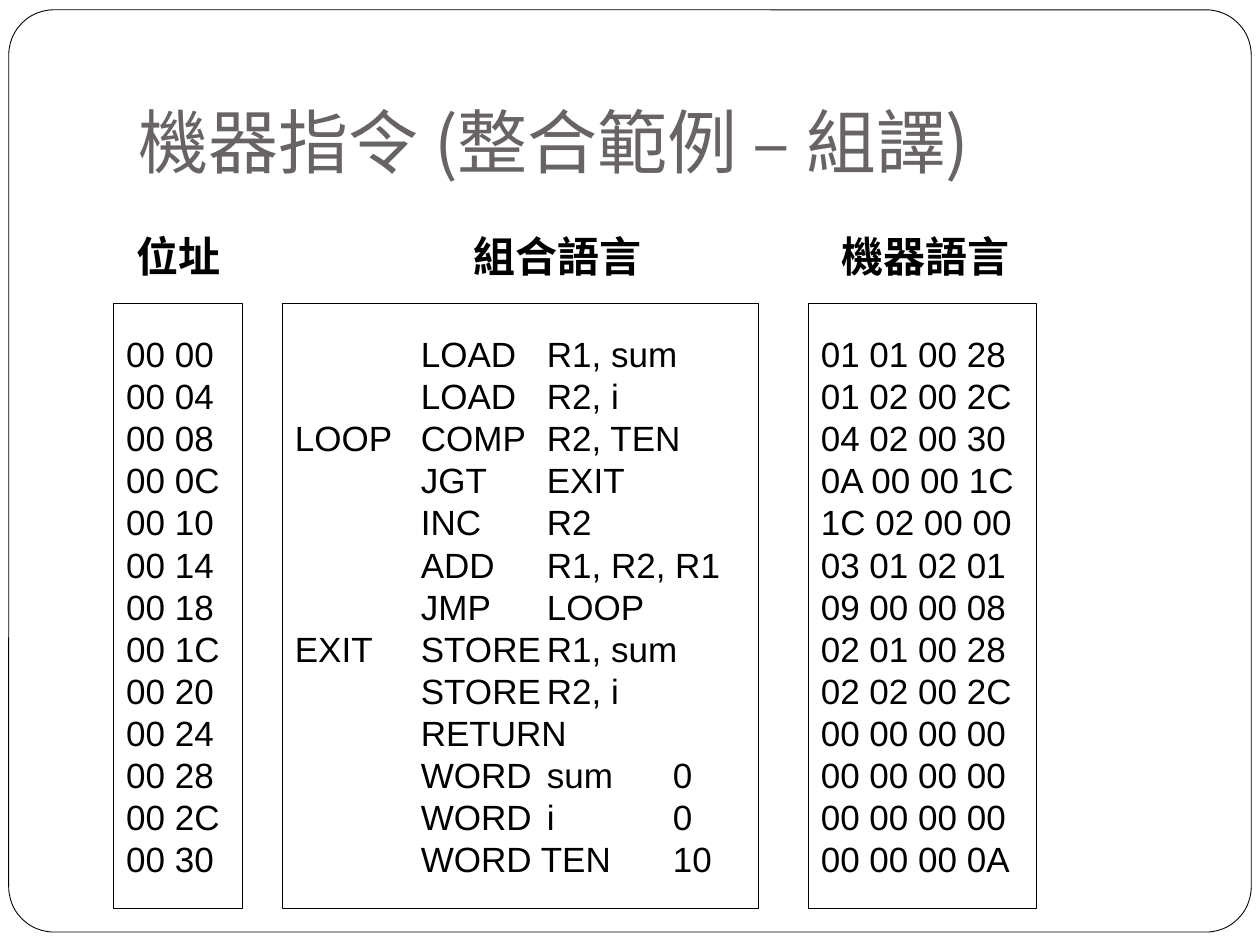
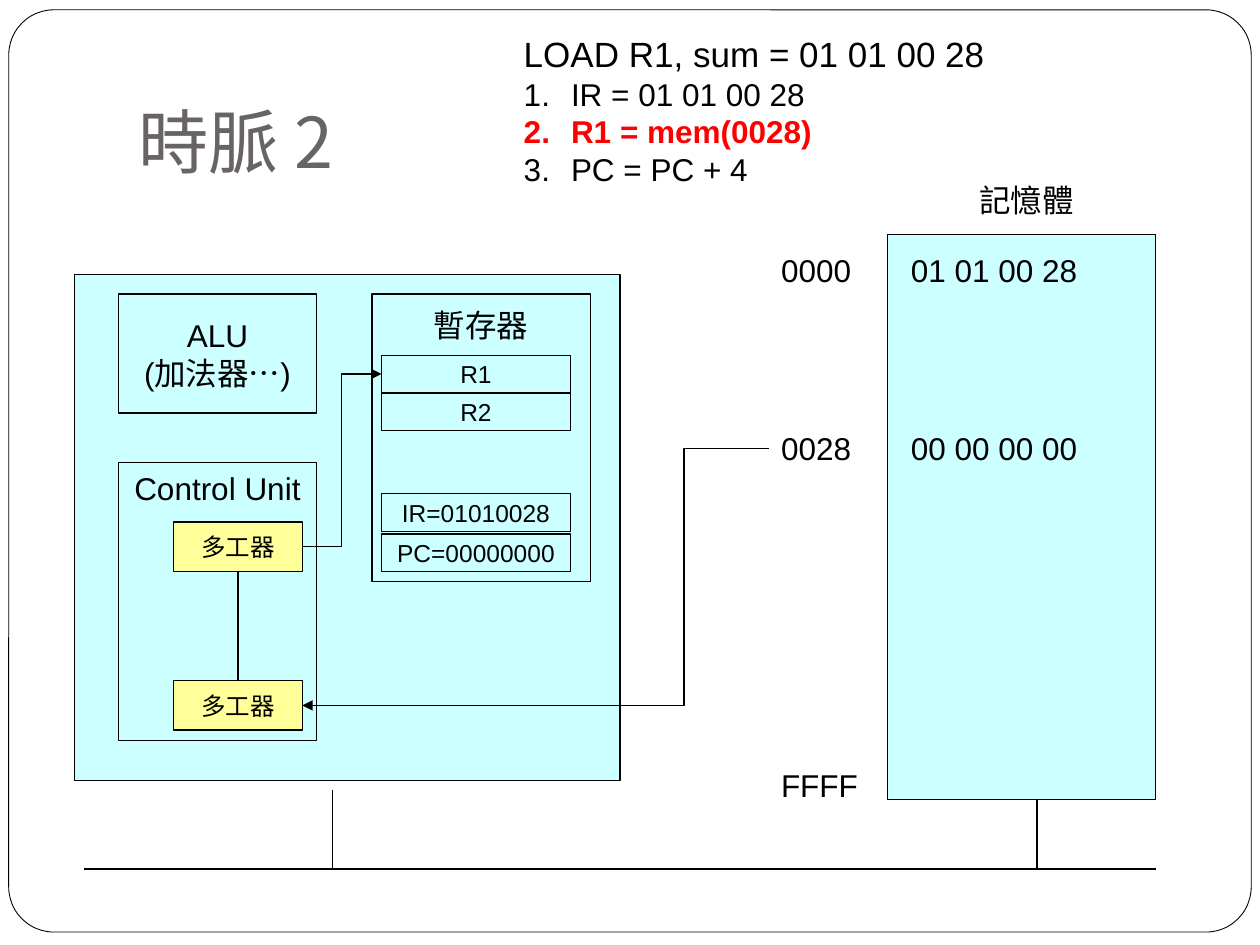
from dataclasses import dataclass
from typing import Any, Optional

from lxml import etree
from pptx import Presentation
from pptx.dml.color import RGBColor
from pptx.enum import shapes, text
from pptx.oxml import ns
from pptx.util import Pt

COLOURS = {"ink": "000000", "title": "696464", "paper": "FFFFFF",
           "unit": "CCFFFF", "mux": "FFFF99", "active": "FF0000"}
BODY_FONT, ASIAN_FONT = "Arial", "Noto Sans CJK SC"
TAB_STEP, TAB_COUNT = 72, 7
LEFT, CENTER = text.PP_ALIGN.LEFT, text.PP_ALIGN.CENTER
TOP, MIDDLE, BOTTOM = (text.MSO_ANCHOR.TOP, text.MSO_ANCHOR.MIDDLE,
                       text.MSO_ANCHOR.BOTTOM)
RIGHT_SIDE, LEFT_SIDE, TOP_SIDE, BOTTOM_SIDE = 3, 1, 0, 2


@dataclass
class Block:
    """A bordered rectangle with lines of text."""
    left: float
    top: float
    width: float
    height: float
    lines: tuple = ()
    fill: str = "unit"
    size: float = 18
    align: Any = CENTER
    anchor: Any = MIDDLE
    inset_top: float = 3.6


@dataclass
class Label:
    """A short text without a border."""
    left: float
    top: float
    width: float
    words: str
    height: float = 28.8
    size: float = 18
    bold: bool = False


@dataclass
class CodeColumn:
    left: float
    width: float
    heading: str
    heading_left: float
    heading_width: float
    lines: tuple


# ---------- shared drawing ----------
def colour(name: str) -> RGBColor:
    return RGBColor.from_string(COLOURS[name])


def apply(target: Any, values: dict) -> None:
    for name, value in values.items():
        setattr(target, name, value)


def add_xml(parent: Any, tag: str, **values: Any) -> Any:
    child = etree.SubElement(parent, ns.qn(tag))
    for name, value in values.items():
        child.set(name, str(value))
    return child


def add_tab_stops(para: Any) -> None:
    stops = add_xml(para._p.get_or_add_pPr(), "a:tabLst")
    for index in range(1, TAB_COUNT + 1):
        add_xml(stops, "a:tab", pos=Pt(TAB_STEP * index), algn="l")


def write_para(para: Any, words: str, size: float, ink: str = "ink",
               bold: bool = False, align: Any = LEFT,
               font: str = BODY_FONT) -> None:
    para.alignment = align
    if "\t" in words:
        add_tab_stops(para)
    span = para.add_run()
    span.text = words
    apply(span.font, {"name": font, "size": Pt(size), "bold": bold})
    span.font.color.rgb = colour(ink)
    add_xml(span.font._element, "a:ea", typeface=ASIAN_FONT)


def next_para(frame: Any, index: int) -> Any:
    return frame.paragraphs[0] if index == 0 else frame.add_paragraph()


def set_frame(frame: Any, anchor: Any = TOP, wrap: bool = False,
              top: float = 3.6, bottom: float = 3.6,
              fit: Any = text.MSO_AUTO_SIZE.NONE) -> None:
    apply(frame, {"margin_left": Pt(7.2), "margin_right": Pt(7.2),
                  "margin_top": Pt(top), "margin_bottom": Pt(bottom),
                  "vertical_anchor": anchor, "word_wrap": wrap,
                  "auto_size": fit})


def draw_block(page: Any, block: Block) -> Any:
    box = page.shapes.add_shape(
        shapes.MSO_SHAPE.RECTANGLE, Pt(block.left), Pt(block.top),
        Pt(block.width), Pt(block.height))
    box.shadow.inherit = False
    box.fill.solid()
    box.fill.fore_color.rgb = colour(block.fill)
    box.line.color.rgb = colour("ink")
    box.line.width = Pt(0.75)
    set_frame(box.text_frame, block.anchor, top=block.inset_top)
    for index, words in enumerate(block.lines):
        write_para(next_para(box.text_frame, index), words, block.size,
                   align=block.align)
    return box


def draw_label(page: Any, label: Label) -> Any:
    box = page.shapes.add_textbox(Pt(label.left), Pt(label.top),
                                  Pt(label.width), Pt(label.height))
    set_frame(box.text_frame, fit=text.MSO_AUTO_SIZE.SHAPE_TO_FIT_TEXT)
    write_para(box.text_frame.paragraphs[0], label.words, label.size,
               bold=label.bold)
    return box


def style_connector(line: Any, arrow: bool = False,
                    bend: Optional[int] = None) -> None:
    line.line.color.rgb = colour("ink")
    line.line.width = Pt(0.75)
    properties = line._element.spPr
    if arrow:
        add_xml(line.line._get_or_add_ln(), "a:tailEnd", type="triangle")
    if bend is not None:
        guides = properties.find(ns.qn("a:prstGeom")).find(ns.qn("a:avLst"))
        add_xml(guides, "a:gd", name="adj1", fmla=f"val {bend}")
    add_xml(properties, "a:effectLst")


def draw_line(page: Any, x1: float, y1: float, x2: float, y2: float) -> None:
    style_connector(page.shapes.add_connector(
        shapes.MSO_CONNECTOR.STRAIGHT, Pt(x1), Pt(y1), Pt(x2), Pt(y2)))


def join(page: Any, start: Any, start_side: int, end: Any, end_side: int,
         bend: Optional[int] = None) -> None:
    """Join two boxes; a bend in 1/1000 percent makes an elbow arrow."""
    kinds = shapes.MSO_CONNECTOR
    kind = kinds.STRAIGHT if bend is None else kinds.ELBOW
    line = page.shapes.add_connector(kind, 0, 0, 0, 0)
    line.begin_connect(start, start_side)
    line.end_connect(end, end_side)
    style_connector(line, arrow=bend is not None, bend=bend)


def add_page(deck: Any, title: str) -> Any:
    page = deck.slides.add_slide(deck.slide_layouts[5])
    box = page.shapes.title
    apply(box, {"left": Pt(72), "top": Pt(21.6),
                "width": Pt(612), "height": Pt(90)})
    set_frame(box.text_frame, BOTTOM, wrap=True, bottom=7.2)
    write_para(box.text_frame.paragraphs[0], title, 40, "title",
               font=ASIAN_FONT)
    return page


def put_border_on_layout(page: Any) -> None:
    border = page.shapes.add_shape(
        shapes.MSO_SHAPE.ROUNDED_RECTANGLE, Pt(5), Pt(5.6), Pt(710), Pt(527))
    border.adjustments[0] = 0.049
    border.shadow.inherit = False
    border.fill.background()
    border.line.color.rgb = colour("ink")
    border.line.width = Pt(0.5)
    page.slide_layout.shapes.element.insert(2, border.element)


# ---------- assembly listing ----------
CODE = ("\tLOAD\tR1, sum", "\tLOAD\tR2, i", "LOOP\tCOMP\tR2, TEN",
        "\tJGT\tEXIT", "\tINC\tR2", "\tADD\tR1, R2, R1", "\tJMP\tLOOP",
        "EXIT\tSTORE\tR1, sum", "\tSTORE\tR2, i", "\tRETURN",
        "\tWORD\tsum\t0", "\tWORD\ti\t0", "\tWORD TEN\t10")
MACHINE = ("01 01 00 28", "01 02 00 2C", "04 02 00 30", "0A 00 00 1C",
           "1C 02 00 00", "03 01 02 01", "09 00 00 08", "02 01 00 28",
           "02 02 00 2C", "00 00 00 00", "00 00 00 00", "00 00 00 00",
           "00 00 00 0A")
ADDRESSES = tuple(f"00 {4 * index:02X}" for index in range(len(CODE)))
COLUMNS = (
    CodeColumn(65, 73.5, "位址", 71.2, 66, ADDRESSES),
    CodeColumn(161.4, 272, "組合語言", 263.5, 114, CODE),
    CodeColumn(462, 130.4, "機器語言", 473.8, 114, MACHINE),
)


def build_listing(deck: Any) -> None:
    page = add_page(deck, "機器指令 (整合範例 – 組譯)")
    put_border_on_layout(page)
    for column in COLUMNS:
        draw_block(page, Block(column.left, 173.5, column.width, 345.6,
                               column.lines, "paper", 20, LEFT))
        draw_label(page, Label(column.heading_left, 128.2,
                               column.heading_width, column.heading,
                               36, 24, True))


# ---------- clock cycle 2 ----------
STEPS = ("IR = 01 01 00 28", "R1 = mem(0028)", "PC = PC + 4")
ACTIVE_STEP = 1
REGISTERS = {"R1": 203, "R2": 224.6, "IR=01010028": 282.2,
             "PC=00000000": 305.2}
MEMORY_ROWS = (("0000", "01 01 00 28", 139.7),
               ("0028", "00 00 00 00", 241.9), ("FFFF", "", 434.2))


def draw_steps(page: Any) -> None:
    box = page.shapes.add_textbox(Pt(292.2), Pt(15.1), Pt(289.4), Pt(118))
    frame = box.text_frame
    set_frame(frame, wrap=True)
    write_para(frame.paragraphs[0], "LOAD R1, sum = 01 01 00 28", 20)
    for index, words in enumerate(STEPS):
        active = index == ACTIVE_STEP
        ink = "active" if active else "ink"
        para = frame.add_paragraph()
        write_para(para, words, 18, ink, active)
        properties = para._p.get_or_add_pPr()
        properties.set("marL", str(Pt(27)))
        properties.set("indent", str(-Pt(27)))
        add_xml(add_xml(properties, "a:buClr"), "a:srgbClr", val=COLOURS[ink])
        add_xml(properties, "a:buAutoNum", type="arabicPeriod")


def build_cycle(deck: Any) -> None:
    page = add_page(deck, "時脈 2")
    draw_steps(page)

    # Processor, its units and the memory
    for block in (
            Block(42.5, 156.7, 311.8, 289.2),
            Block(67.6, 168, 113.3, 68, ("ALU", "(加法器…)")),
            Block(67.6, 264.3, 113.3, 158.7, ("Control Unit",), anchor=TOP),
            Block(212.5, 168, 124.8, 164.2, ("暫存器",),
                  anchor=TOP, inset_top=7),
            Block(507.3, 134, 153, 323)):
        draw_block(page, block)
    draw_label(page, Label(552.6, 100.1, 72, "記憶體"))

    # Bus
    draw_line(page, 48, 496.6, 660.4, 496.6)
    draw_line(page, 190, 451.4, 190, 496.6)
    draw_line(page, 592.5, 457, 592.5, 496.6)

    # Registers, multiplexers and memory rows
    cells = {name: draw_block(page, Block(218, top, 108, 21.5, (name,),
                                          size=14))
             for name, top in REGISTERS.items()}
    upper, lower = [draw_block(page, Block(99.1, top, 73.7, 28.2, ("多工器",),
                                           "mux", 14))
                    for top in (298.3, 389)]
    places = {}
    for address, content, top in MEMORY_ROWS:
        places[address] = draw_label(page, Label(439.2, top, 62, address))
        if content:
            draw_label(page, Label(513.4, top, 112, content))

    # Data flow
    join(page, upper, RIGHT_SIDE, cells["R1"], LEFT_SIDE, 49900)
    join(page, places["0028"], LEFT_SIDE, lower, RIGHT_SIDE, 18100)
    join(page, lower, TOP_SIDE, upper, BOTTOM_SIDE)


def main() -> None:
    deck = Presentation()
    apply(deck, {"slide_width": Pt(720), "slide_height": Pt(540)})
    build_listing(deck)
    build_cycle(deck)
    deck.save("out.pptx")


if __name__ == "__main__":
    main()
